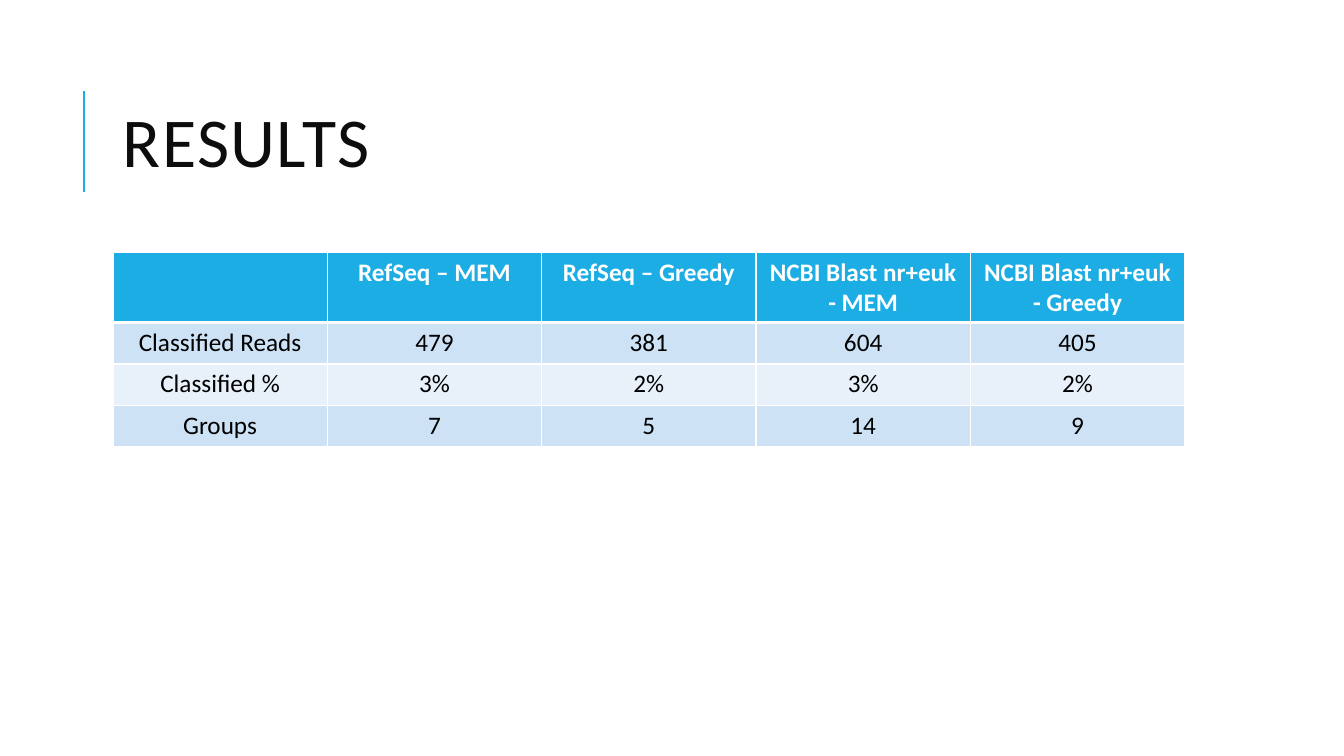
from dataclasses import dataclass

from lxml.etree import SubElement
from pptx import Presentation
from pptx.dml.color import RGBColor
from pptx.enum.shapes import MSO_CONNECTOR as Connector
from pptx.enum.text import MSO_ANCHOR as Anchor, PP_ALIGN as Align
from pptx.oxml import parse_xml
from pptx.oxml.ns import nsdecls, qn
from pptx.util import Inches, Pt


@dataclass(frozen=True)
class Theme:
    """Colours, font and sizes of the slide."""
    font: str = "Calibri"
    accent: str = "1CADE4"
    title: str = "0D0D0D"
    body: str = "000000"
    white: str = "FFFFFF"
    bands: tuple = ("CDE3F5", "E8F1FA")
    title_size: int = 50
    table_size: int = 18
    rule_width: float = 1.5
    border: int = 1
    header_border: int = 3


THEME = Theme()
RESULTS = [
    ["", "RefSeq – MEM", "RefSeq – Greedy",
     "NCBI Blast nr+euk - MEM", "NCBI Blast nr+euk - Greedy"],
    ["Classified Reads", "479", "381", "604", "405"],
    ["Classified %", "3%", "2%", "3%", "2%"],
    ["Groups", "7", "5", "14", "9"],
]


def set_font(para, size, color, bold=False):
    """Set the font of a whole paragraph."""
    para.font.name = THEME.font
    para.font.size = Pt(size)
    para.font.bold = bold
    para.font.color.rgb = RGBColor.from_string(color)


def add_title(page, text, left, top, width, height):
    """Place the title in its box, with the accent rule to its left."""
    rule_x, rule_top = left - 0.29, top + 0.26
    rule = page.shapes.add_connector(
        Connector.STRAIGHT, Inches(rule_x), Inches(rule_top + 1),
        Inches(rule_x), Inches(rule_top))
    rule.line.color.rgb = RGBColor.from_string(THEME.accent)
    rule.line.width = Pt(THEME.rule_width)
    SubElement(rule._element.spPr, qn("a:effectLst"))

    box = page.shapes.add_textbox(
        Inches(left), Inches(top), Inches(width), Inches(height))
    frame = box.text_frame
    frame.word_wrap = True
    frame.vertical_anchor = Anchor.MIDDLE
    para = frame.paragraphs[0]
    para.line_spacing = 0.8
    set_font(para, THEME.title_size, THEME.title)
    span = para.add_run()
    span.text = text
    span._r.get_or_add_rPr().set("spc", "100")


def set_borders(cell, top, bottom):
    """Draw white borders around a cell, with the given top and bottom widths."""
    widths = {"lnL": THEME.border, "lnR": THEME.border, "lnT": top, "lnB": bottom}
    properties = cell._tc.get_or_add_tcPr()
    for position, (side, width) in enumerate(widths.items()):
        properties.insert(position, parse_xml(
            f'<a:{side} {nsdecls("a")} w="{Pt(width)}"><a:solidFill>'
            f'<a:srgbClr val="{THEME.white}"/></a:solidFill></a:{side}>'))


def add_results_table(page, rows, left, top, width, header_height, row_height):
    """Place a table of equal columns with a header and banded rows."""
    columns = len(rows[0])
    height = header_height + row_height * (len(rows) - 1)
    table = page.shapes.add_table(
        len(rows), columns, Inches(left), Inches(top),
        Inches(width), Inches(height)).table
    for column in table.columns:
        column.width = Inches(width / columns)
    for row_index, values in enumerate(rows):
        header = row_index == 0
        table.rows[row_index].height = Inches(header_height if header else row_height)
        fill = THEME.accent if header else THEME.bands[(row_index - 1) % 2]
        color = THEME.white if header else THEME.body
        for column_index, value in enumerate(values):
            cell = table.cell(row_index, column_index)
            cell.text = value
            cell.fill.solid()
            cell.fill.fore_color.rgb = RGBColor.from_string(fill)
            set_borders(
                cell,
                top=THEME.header_border if row_index == 1 else THEME.border,
                bottom=THEME.header_border if header else THEME.border)
            para = cell.text_frame.paragraphs[0]
            para.alignment = Align.CENTER
            set_font(para, THEME.table_size, color, bold=header)


def main():
    """Build the results slide and save it."""
    deck = Presentation()
    deck.slide_width, deck.slide_height = Inches(13.33), Inches(7.5)
    page = deck.slides.add_slide(deck.slide_layouts[6])
    left, width = 1.12, 10.63
    add_title(page, "RESULTS", left, 0.64, width, 1.64)
    add_results_table(page, RESULTS, left, 2.5, width, 0.7, 0.41)
    deck.save("out.pptx")


if __name__ == "__main__":
    main()
